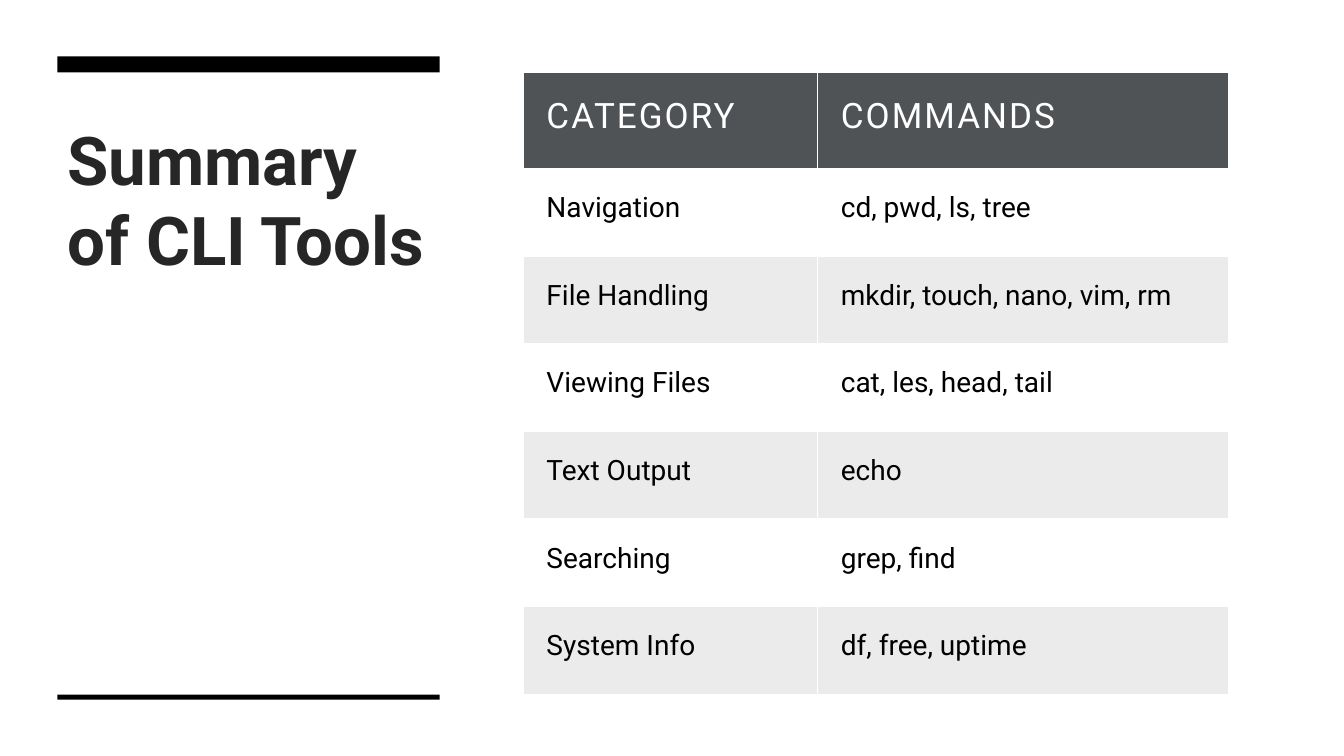
from lxml.etree import SubElement
from pptx import Presentation
from pptx.dml.color import RGBColor
from pptx.enum.shapes import MSO_SHAPE as SHAPE
from pptx.oxml.ns import qn
from pptx.util import Pt

PX = 9144
FONT = "Roboto"
BLACK = RGBColor(0x00, 0x00, 0x00)
WHITE = RGBColor(0xFF, 0xFF, 0xFF)
INK = RGBColor(0x26, 0x26, 0x26)
SLATE = RGBColor(0x50, 0x53, 0x56)

ROWS = [
    ("CATEGORY", "COMMANDS"),
    ("Navigation", "cd, pwd, ls, tree"),
    ("File Handling", "mkdir, touch, nano, vim, rm"),
    ("Viewing Files", "cat, les, head, tail"),
    ("Text Output", "echo"),
    ("Searching", "grep, find"),
    ("System Info", "df, free, uptime"),
]


def px(*lengths):
    return [n * PX for n in lengths]


def set_font(p, size, color, bold=False):
    p.font.name = FONT
    p.font.size = Pt(size)
    p.font.color.rgb = color
    p.font.bold = bold


prs = Presentation()
prs.slide_width, prs.slide_height = px(1333, 750)
s = prs.slides.add_slide(prs.slide_layouts[6])
s.background.fill.solid()
s.background.fill.fore_color.rgb = WHITE

for top, height in [(56, 16), (689, 5)]:
    bar = s.shapes.add_shape(SHAPE.RECTANGLE, *px(57, top, 379, height))
    bar.shadow.inherit = False
    bar.fill.solid()
    bar.fill.fore_color.rgb = BLACK
    bar.line.fill.background()

tf = s.shapes.add_textbox(*px(57, 112, 379, 263)).text_frame
tf.word_wrap = True
p = tf.paragraphs[0]
p.text = "Summary of CLI Tools"
set_font(p, 48, INK, bold=True)

table = s.shapes.add_table(len(ROWS), 2, *px(519, 72, 700, 617)).table
table.first_row = table.horz_banding = False
for column, width in zip(table.columns, px(292, 408)):
    column.width = width

for i, texts in enumerate(ROWS):
    header = i == 0
    table.rows[i].height = (95 if header else 87) * PX
    for j, text in enumerate(texts):
        cell = table.cell(i, j)
        cell.margin_left = cell.margin_right = 23 * PX
        cell.margin_top = cell.margin_bottom = 23 * PX
        p = cell.text_frame.paragraphs[0]
        p.text = text
        set_font(p, 25 if header else 20, WHITE if header else BLACK)
        if header:
            p.runs[0].font._element.set("spc", "150")
        if i % 2:
            cell.fill.background()
            continue
        cell.fill.solid()
        cell.fill.fore_color.rgb = SLATE if header else BLACK
        if not header:
            color = cell._tc.tcPr.find(".//" + qn("a:srgbClr"))
            SubElement(color, qn("a:alpha"), val="8000")

prs.save("out.pptx")
